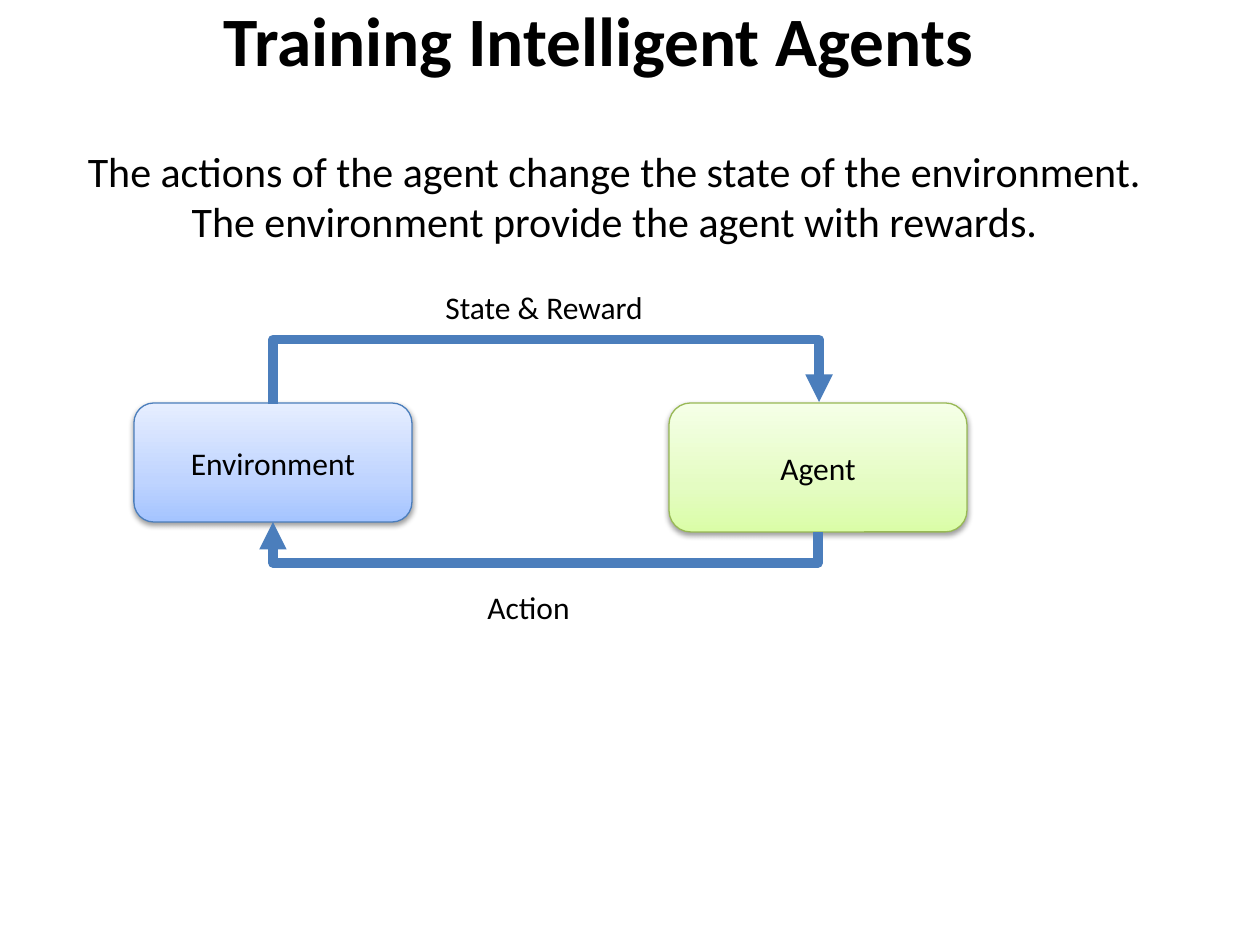
"""Build the slide on the loop between an agent and its environment."""
from copy import deepcopy

from lxml import etree
from pptx import Presentation
from pptx import util as u
from pptx.dml.color import RGBColor
from pptx.enum import shapes, text
from pptx.oxml import ns

BLACK = RGBColor(0x00, 0x00, 0x00)
BLUE = RGBColor(0x4B, 0x7E, 0xBC)
GREEN = RGBColor(0x98, 0xB9, 0x55)
BLUE_FADE = [RGBColor(0xA4, 0xC4, 0xFF), RGBColor(0xBF, 0xD4, 0xFF), RGBColor(0xE6, 0xEE, 0xFF)]
GREEN_FADE = [RGBColor(0xDA, 0xFD, 0xA7), RGBColor(0xE4, 0xFC, 0xC2), RGBColor(0xF5, 0xFF, 0xE7)]
FADE_POSITIONS = [0, 0.35, 1]


def px(*lengths):
    return [u.Emu(round(length * 914400 / 126)) for length in lengths]


def write(frame, words, size=18, bold=False, align=text.PP_ALIGN.CENTER,
          anchor=text.MSO_ANCHOR.MIDDLE, wrap=True, fit=text.MSO_AUTO_SIZE.NONE):
    frame.text = words
    frame.word_wrap = wrap
    frame.auto_size = fit
    frame.vertical_anchor = anchor
    for paragraph in frame.paragraphs:
        paragraph.alignment = align
        font = paragraph.runs[0].font
        font.name, font.size, font.bold = "Calibri", u.Pt(size), bold
        font.color.rgb = BLACK


deck = Presentation()
deck.slide_width, deck.slide_height = px(1260, 945)
slide = deck.slides.add_slide(deck.slide_layouts[5])

title = slide.shapes.title
title.left, title.top, title.width, title.height = px(0, 0, 1197, 77)
write(title.text_frame, "Training Intelligent Agents", size=39.6, bold=True)

for role, place, fade, outline in [
    ("Environment", (134, 403, 278, 119), BLUE_FADE, BLUE),
    ("Agent", (669, 403, 298, 129), GREEN_FADE, GREEN),
]:
    box = slide.shapes.add_shape(shapes.MSO_SHAPE.ROUNDED_RECTANGLE, *px(*place))
    box.fill.gradient()
    box.fill.gradient_angle = 90
    stop_list = box.element.spPr.find(".//" + ns.qn("a:gsLst"))
    stop_list.append(deepcopy(stop_list[0]))
    for stop, position, color in zip(box.fill.gradient_stops, FADE_POSITIONS, fade):
        stop.position = position
        stop.color.rgb = color
    box.line.color.rgb = outline
    box.line.width = u.Pt(0.75)
    box.shadow.inherit = False
    effects = box.element.spPr.find(ns.qn("a:effectLst"))
    shadow = etree.SubElement(effects, ns.qn("a:outerShdw"), blurRad="40000",
                              dist="20000", dir="5400000", rotWithShape="0")
    shade = etree.SubElement(shadow, ns.qn("a:srgbClr"), val="000000")
    etree.SubElement(shade, ns.qn("a:alpha"), val="38000")
    write(box.text_frame, role)

for (start_x, start_y), (end_x, end_y), bend_y in [
    ((273, 404), (819, 402), 339),
    ((818, 532), (273, 522), 563),
]:
    mid_x, mid_y = (start_x + end_x) / 2, (start_y + end_y) / 2
    drop, span = start_y - end_y, end_x - start_x
    arrow = slide.shapes.add_connector(
        shapes.MSO_CONNECTOR.ELBOW,
        *px(mid_x + drop / 2, mid_y + span / 2, mid_x - drop / 2, mid_y - span / 2))
    arrow.line.color.rgb = BLUE
    arrow.line.width = u.Pt(5.25)
    properties = arrow.element.spPr
    properties.find(ns.qn("a:xfrm")).set("rot", "5400000")
    guides = properties.find(".//" + ns.qn("a:avLst"))
    bend = round((start_y - bend_y) / drop * 100000)
    etree.SubElement(guides, ns.qn("a:gd"), name="adj1", fmla=f"val {bend}")
    stroke = properties.find(ns.qn("a:ln"))
    etree.SubElement(stroke, ns.qn("a:round"))
    etree.SubElement(stroke, ns.qn("a:tailEnd"), type="triangle")
    etree.SubElement(properties, ns.qn("a:effectLst"))

for words, place, style in [
    ("State & Reward", (433, 282, 226, 50), {"align": text.PP_ALIGN.LEFT, "wrap": False}),
    ("Action", (475, 582, 108, 50), {"align": text.PP_ALIGN.LEFT, "wrap": False}),
    ("The actions of the agent change the state of the environment.\n"
     "The environment provide the agent with rewards.", (74, 139, 1081, 115), {"size": 24}),
]:
    caption = slide.shapes.add_textbox(*px(*place))
    write(caption.text_frame, words, anchor=text.MSO_ANCHOR.TOP,
          fit=text.MSO_AUTO_SIZE.SHAPE_TO_FIT_TEXT, **style)

deck.save("out.pptx")
